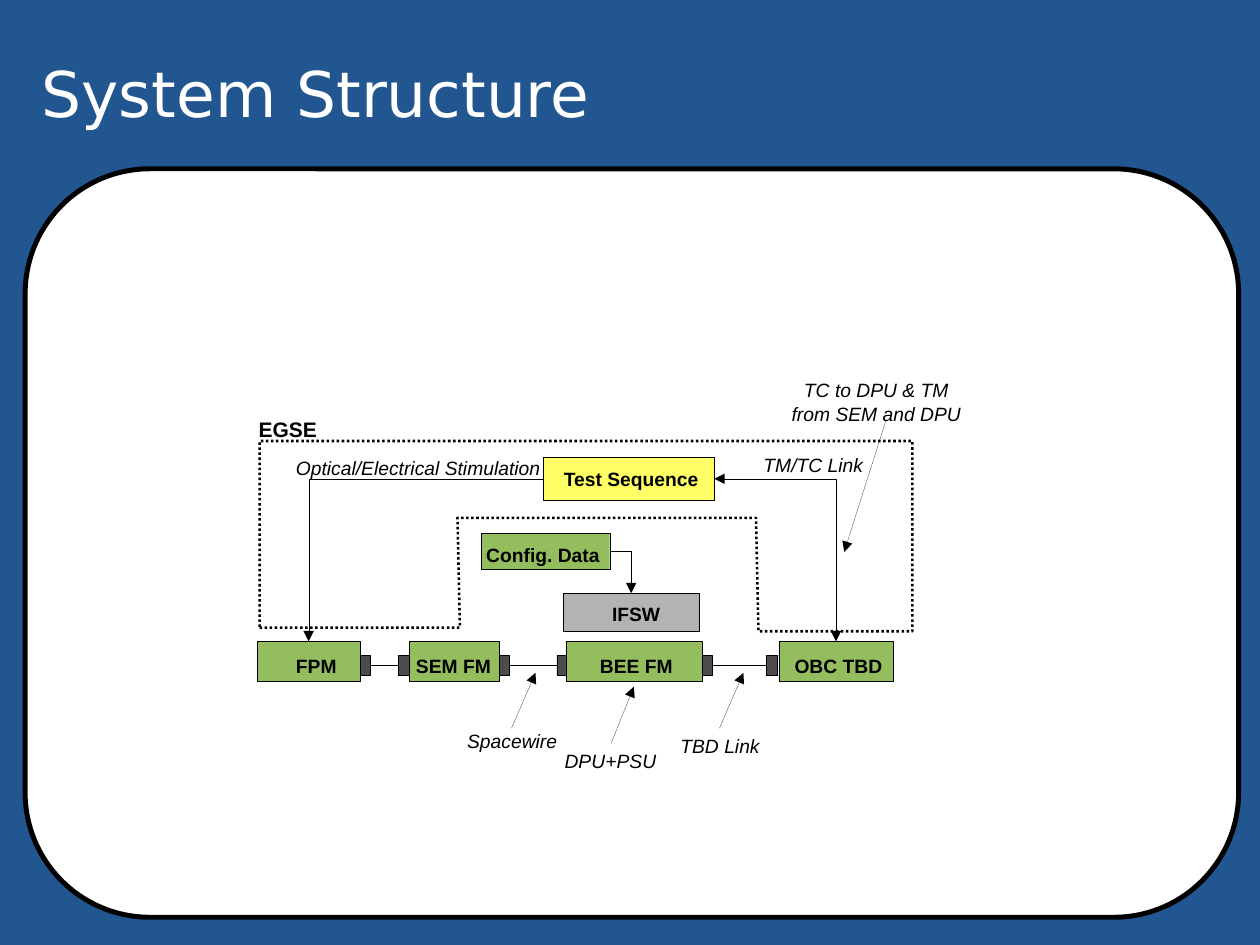
from lxml.etree import SubElement
from pptx import Presentation
from pptx.dml.color import RGBColor as RGB
from pptx.enum.dml import MSO_LINE as DASH
from pptx.enum.shapes import MSO_CONNECTOR as CONN, MSO_SHAPE as SHAPE
from pptx.enum.text import MSO_ANCHOR as ANCHOR, MSO_AUTO_SIZE as FIT, PP_ALIGN as ALIGN
from pptx.oxml.ns import qn
from pptx.util import Pt

HUES = {
    "blue": "215691", "white": "FFFFFF", "black": "000000", "plug": "4C4C4C",
    "green": "94BD5E", "yellow": "FFFF66", "grey": "B3B3B3",
}
COLOR = {name: RGB.from_string(code) for name, code in HUES.items()}
HAIR = 0.1

deck = Presentation()
deck.slide_width, deck.slide_height = Pt(720), Pt(540)
slide = deck.slides.add_slide(deck.slide_layouts[5])
slide.background.fill.solid()
slide.background.fill.fore_color.rgb = COLOR["blue"]
shapes = slide.shapes


def add_box(kind, left, top, width, height, hue, line=HAIR):
    box = shapes.add_shape(kind, Pt(left), Pt(top), Pt(width), Pt(height))
    box.shadow.inherit = False
    box.fill.solid()
    box.fill.fore_color.rgb = COLOR[hue]
    box.line.color.rgb = COLOR["black"]
    box.line.width = Pt(line)
    return box


def add_line(kind, start, end, heads=()):
    line = shapes.add_connector(kind, *[Pt(v) for v in (*start, *end)])
    line.line.color.rgb = COLOR["black"]
    line.line.width = Pt(HAIR)
    for head in heads:
        SubElement(line.line._get_or_add_ln(), qn(f"a:{head}"), type="triangle")
    SubElement(line._element.spPr, qn("a:effectLst"))
    return line


title = shapes.title
title.left, title.top, title.width, title.height = Pt(23.8), Pt(7.9), Pt(499.7), Pt(90)
frame = title.text_frame
frame.margin_left = frame.margin_right = frame.margin_top = frame.margin_bottom = 0
frame.vertical_anchor = ANCHOR.MIDDLE
para = frame.paragraphs[0]
para.alignment = ALIGN.LEFT
run = para.add_run()
run.text = "System Structure"
run.font.size = Pt(36)
run.font.name = "DejaVu Sans"
run.font.color.rgb = COLOR["white"]

add_box(SHAPE.ROUNDED_RECTANGLE, 14.4, 96.5, 693.4, 427.7, "white", 2.83)

plugs = [add_box(SHAPE.RECTANGLE, left, 374.4, 6.5, 11.5, "plug")
         for left in (205.2, 227.5, 284.4, 318.2, 400.3, 437.8)]
for left, right in zip(plugs[::2], plugs[1::2]):
    link = add_line(CONN.STRAIGHT, (0, 0), (0, 0))
    link.begin_connect(left, 3)
    link.end_connect(right, 1)

blocks = {}
for name, left, top, width, height, hue in [
    ("Test Sequence", 310.3, 261.4, 97.9, 24.5, "yellow"),
    ("Config. Data", 275, 304.6, 73.4, 20.9, "green"),
    ("IFSW", 321.8, 339.1, 77.8, 21.6, "grey"),
    ("FPM", 146.9, 366.5, 59, 23, "green"),
    ("SEM FM", 234, 366.5, 51.1, 23, "green"),
    ("BEE FM", 323.3, 366.5, 77.8, 23, "green"),
    ("OBC TBD", 445, 366.5, 65.5, 23, "green"),
]:
    blocks[name] = add_box(SHAPE.RECTANGLE, left, top, width, height, hue)

edge = [(148.3, 358.6), (262.8, 358.6), (261.4, 295.9), (432, 295.9),
        (433.4, 360.7), (521.3, 360.7), (521.3, 252), (148.3, 252)]
dots = [(Pt(x), Pt(y)) for x, y in edge]
pen = shapes.build_freeform(*dots[0])
pen.add_line_segments(dots[1:], close=True)
zone = pen.convert_to_shape()
zone.shadow.inherit = False
zone.fill.background()
zone.line.color.rgb = COLOR["black"]
zone.line.width = Pt(1.45)
zone.line.dash_style = DASH.ROUND_DOT

for source, side, target, start, end, heads in [
    ("Test Sequence", 1, "FPM", (310.3, 273.6), (176.4, 366.5), ["tailEnd"]),
    ("Test Sequence", 3, "OBC TBD", (408.2, 273.6), (477.8, 366.5), ["headEnd", "tailEnd"]),
    ("Config. Data", 3, "IFSW", (348.4, 315), (360.7, 339.1), ["tailEnd"]),
]:
    path = add_line(CONN.ELBOW, start, end, heads)
    path._element.spPr.find(qn("a:prstGeom")).set("prst", "bentConnector2")
    path.begin_connect(blocks[source], side)
    path.end_connect(blocks[target], 0)

for start, end in [
    ((292.3, 416.2), (306, 384.5)),
    ((349.2, 424.8), (362.2, 392.4)),
    ((411.1, 416.2), (424.8, 384.5)),
    ((506.2, 240.5), (482.4, 315.4)),
]:
    note = add_line(CONN.STRAIGHT, start, end, ["tailEnd"])
    note.line.dash_style = DASH.SQUARE_DOT

for text, left, top, width, height, size, bold in [
    ("Test Sequence", 321.8, 266.4, 77.8, 13, 11, True),
    ("Config. Data", 274.9, 309.6, 70.8, 13, 11, True),
    ("IFSW", 347, 343.4, 33.1, 13, 11, True),
    ("FPM", 164.2, 373, 33.1, 13, 11, True),
    ("SEM FM", 237.6, 373, 43.2, 13, 11, True),
    ("BEE FM", 342.7, 373, 41.8, 13, 11, True),
    ("OBC TBD", 453.6, 373, 51.1, 13, 11, True),
    ("EGSE", 147.6, 237.6, 33.8, 14.4, 12, True),
    ("Optical/Electrical Stimulation", 166.2, 259.9, 145.7, 16.6, 11, False),
    ("TM/TC Link", 427.7, 258.5, 74.2, 16.6, 11, False),
    ("Spacewire", 263.5, 416.2, 58.3, 16.6, 11, False),
    ("DPU+PSU", 319.7, 427.7, 58.3, 16.6, 11, False),
    ("TBD Link", 382.3, 419, 58.3, 16.6, 11, False),
    ("TC to DPU & TM\nfrom SEM and DPU", 452.2, 215.3, 97.2, 25.9, 11, False),
]:
    label = shapes.add_textbox(Pt(left), Pt(top), Pt(width), Pt(height))
    frame = label.text_frame
    frame.word_wrap = False
    frame.auto_size = FIT.SHAPE_TO_FIT_TEXT
    frame.margin_left = frame.margin_right = frame.margin_top = frame.margin_bottom = 0
    for row, words in enumerate(text.split("\n")):
        para = frame.add_paragraph() if row else frame.paragraphs[0]
        para.alignment = ALIGN.CENTER
        para.line_spacing = 1.05
        run = para.add_run()
        run.text = words
        run.font.size = Pt(size)
        run.font.name = "Arial"
        run.font.bold = bold
        run.font.italic = not bold
        run.font.color.rgb = COLOR["black"]

deck.save("out.pptx")
